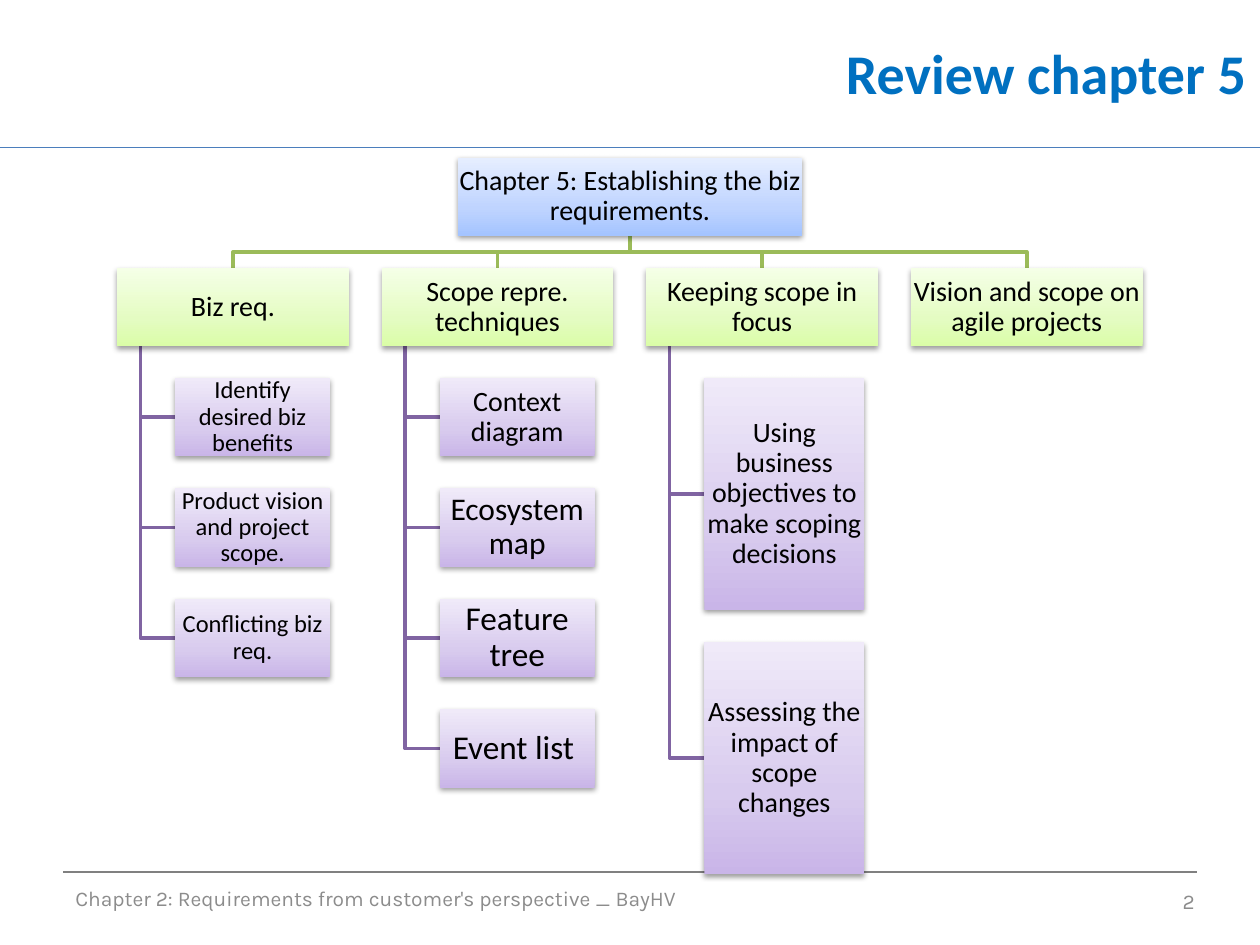
from copy import deepcopy

from lxml.etree import SubElement
from pptx import Presentation
from pptx.dml.color import RGBColor as Rgb
from pptx.enum.shapes import MSO_CONNECTOR as Connector, MSO_SHAPE as Preset
from pptx.enum.text import MSO_ANCHOR as Anchor, PP_ALIGN as Align
from pptx.oxml.ns import qn
from pptx.util import Pt

COLORS = {
    "title": "0070C0",
    "footer": "8C8C8C",
    "text": "000000",
    "header_rule": "4B7EBC",
    "footer_rule": "808080",
    "topic_branch": "9BBB59",
    "detail_branch": "8064A2",
}
GRADIENTS = {
    "chapter": ["A4C4FF", "BFD4FF", "E6EEFF"],
    "topic": ["DAFDA7", "E4FCC2", "F5FFE7"],
    "detail": ["C9B5E8", "D8CBEE", "F0EAF9"],
}
STOPS = [0, 0.35, 1]

deck = Presentation()
deck.slide_width, deck.slide_height = Pt(720), Pt(540)
page = deck.slides.add_slide(deck.slide_layouts[6])


def write_text(box, text, size, color="text", font="Calibri", bold=False,
               align=Align.LEFT, spacing=None, inset=None):
    frame = box.text_frame
    frame.word_wrap = True
    frame.vertical_anchor = Anchor.MIDDLE
    if inset is not None:
        frame.margin_left = frame.margin_right = Pt(inset)
        frame.margin_top = frame.margin_bottom = Pt(inset)
    para = frame.paragraphs[0]
    para.alignment = align
    para.line_spacing = spacing
    span = para.add_run()
    span.text = text
    span.font.name = font
    span.font.size = Pt(size)
    span.font.bold = bold
    span.font.color.rgb = Rgb.from_string(COLORS[color])


def draw_branch(points, color):
    corners = [(Pt(x), Pt(y)) for x, y in points]
    builder = page.shapes.build_freeform(*corners[0])
    builder.add_line_segments(corners[1:], close=False)
    branch = builder.convert_to_shape()
    branch.shadow.inherit = False
    branch.fill.background()
    branch.line.color.rgb = Rgb.from_string(COLORS[color])
    branch.line.width = Pt(2)


for left, right, y, color in [
    (0, 720, 84.24, "header_rule"),
    (36, 684, 498.24, "footer_rule"),
]:
    rule = page.shapes.add_connector(Connector.STRAIGHT, Pt(left), Pt(y), Pt(right), Pt(y))
    rule.line.color.rgb = Rgb.from_string(COLORS[color])
    rule.line.width = Pt(0.75)
    SubElement(rule._element.spPr, qn("a:effectLst"))

FOOTER = {"size": 12, "color": "footer", "font": "Karla"}
for place, text, style in [
    ((208.8, 0, 510.48, 82.8), "Review chapter 5",
     {"size": 32, "color": "title", "bold": True, "align": Align.RIGHT}),
    ((36, 498.96, 480.24, 28.8),
     "Chapter 2: Requirements from customer's perspective _ BayHV", FOOTER),
    ((522, 500.4, 167.76, 28.8), "2", FOOTER | {"align": Align.RIGHT}),
]:
    box = page.shapes.add_textbox(*[Pt(length) for length in place])
    write_text(box, text, **style)

TOPICS = [
    ("Biz req.", 88.56, 44.64, [
        ("Identify desired biz benefits", 14),
        ("Product vision and project scope.", 14),
        ("Conflicting biz req.", 14),
    ]),
    ("Scope repre. techniques", 88.56, 44.64, [
        ("Context diagram", 16),
        ("Ecosystem map", 18),
        ("Feature tree", 19),
        ("Event list ", 19),
    ]),
    ("Keeping scope in focus", 91.44, 132.48, [
        ("Using business objectives to make scoping decisions", 16),
        ("Assessing the impact of scope changes", 16),
    ]),
    ("Vision and scope on agile projects", 0, 0, []),
]
TOPIC_WIDTH, ROW_HEIGHT = 132.48, 44.64
CHAPTER_TOP, TOPIC_TOP, DETAIL_TOP = 90, 153.2, 216
COLUMN_LEFT, COLUMN_STEP, GAP = 66.9, 151.2, 18.5
CHAPTER_BOTTOM = CHAPTER_TOP + ROW_HEIGHT
TOPIC_BOTTOM = TOPIC_TOP + ROW_HEIGHT

nodes = [("chapter", "Chapter 5: Establishing the biz requirements.", 16,
          (261.6, CHAPTER_TOP, 196.8, ROW_HEIGHT))]
for column, (topic, width, height, details) in enumerate(TOPICS):
    left = COLUMN_LEFT + column * COLUMN_STEP
    center = left + TOPIC_WIDTH / 2
    middle = (CHAPTER_BOTTOM + TOPIC_TOP) / 2
    draw_branch([(360, CHAPTER_BOTTOM), (360, middle), (center, middle),
                 (center, TOPIC_TOP)], "topic_branch")
    nodes.append(("topic", topic, 16, (left, TOPIC_TOP, TOPIC_WIDTH, ROW_HEIGHT)))
    trunk, detail_left = left + 13.3, left + 33.2
    for row, (detail, size) in enumerate(details):
        top = DETAIL_TOP + row * (height + GAP)
        center = top + height / 2
        draw_branch([(trunk, TOPIC_BOTTOM), (trunk, center), (detail_left, center)],
                    "detail_branch")
        nodes.append(("detail", detail, size, (detail_left, top, width, height)))

for level, text, size, place in nodes:
    node = page.shapes.add_shape(Preset.RECTANGLE, *[Pt(length) for length in place])
    node.line.fill.background()
    node.fill.gradient()
    node.fill.gradient_angle = 90
    properties = node._element.spPr
    stop_list = properties.find(qn("a:gradFill")).find(qn("a:gsLst"))
    stop_list.insert(1, deepcopy(stop_list[0]))
    for stop, position, color in zip(node.fill.gradient_stops, STOPS, GRADIENTS[level]):
        stop.position = position
        stop.color.rgb = Rgb.from_string(color)
    node.shadow.inherit = False
    shadow = SubElement(properties.find(qn("a:effectLst")), qn("a:outerShdw"),
                        blurRad="40000", dist="20000", dir="5400000", rotWithShape="0")
    shade = SubElement(shadow, qn("a:srgbClr"), val="000000")
    SubElement(shade, qn("a:alpha"), val="38000")
    write_text(node, text, size, align=Align.CENTER, spacing=0.9, inset=0.75)

deck.save("out.pptx")
